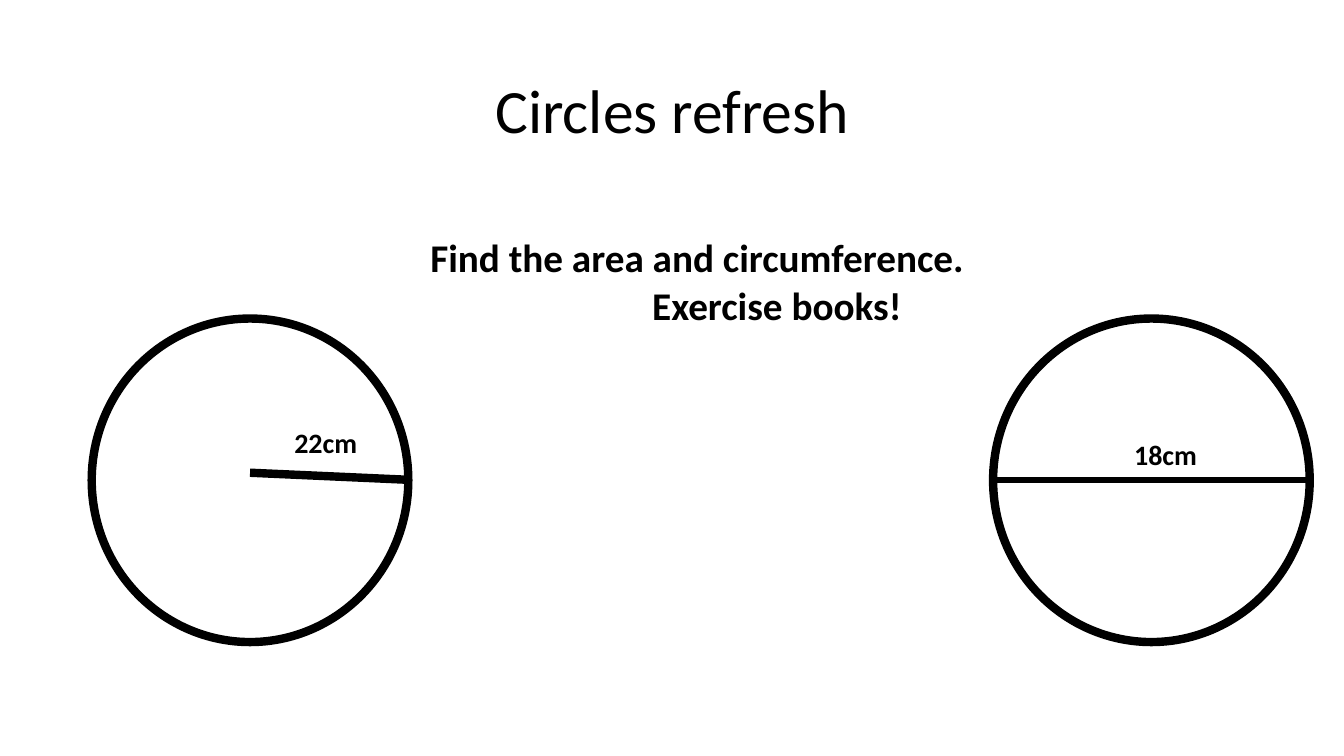
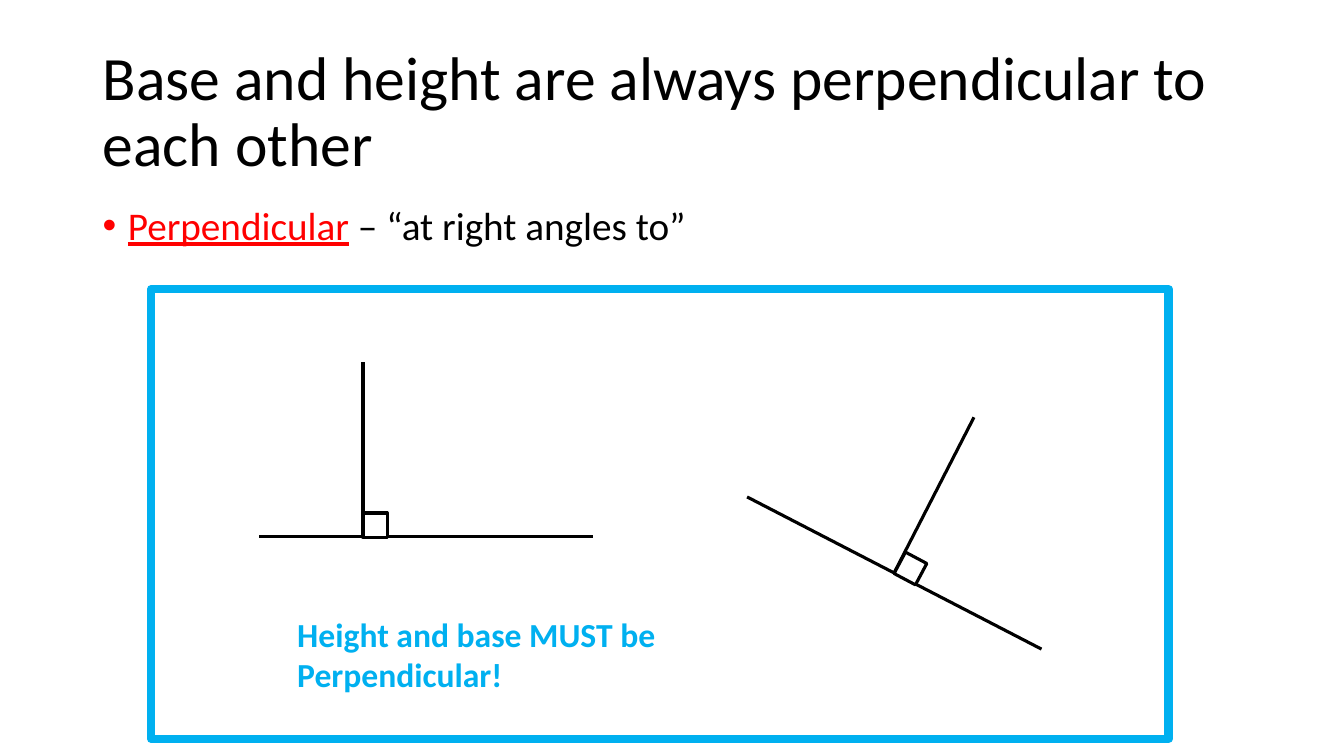
import pptx
import pptx.util
import pptx.dml.color
import pptx.enum.shapes
import pptx.enum.text
import pptx.oxml.ns
from lxml import etree

PX = 9144
FONT = "Calibri"
COLORS = {"ink": "000000", "paper": "FFFFFF", "term": "FF0000", "accent": "00B0F0"}
ALIGN = pptx.enum.text.PP_ALIGN
ANCHOR = pptx.enum.text.MSO_ANCHOR
SHAPE = pptx.enum.shapes.MSO_SHAPE
TITLE_BOX = (92, 40, 1150, 145)

REFRESH_TITLE = "Circles refresh"
TASK_BOX = (417, 227, 707, 104)
TASK = [("Find the area and circumference.", ALIGN.LEFT), ("Exercise books!", ALIGN.CENTER)]
CIRCLE_TOP, CIRCLE_SIZE = 316, (314, 321)
LABEL_SIZE = (109, 44)
CIRCLES = [
    {"left": 91, "measure": (248, 469, 405, 476), "weight": 6, "label": "22cm", "label_at": (282, 417)},
    {"left": 985, "measure": (985, 476, 1298, 476), "weight": 4.5, "label": "18cm", "label_at": (1115, 429)},
]

PERPENDICULAR_TITLE = "Base and height are always perpendicular to each other"
DEFINITION_BOX = (92, 200, 1150, 476)
DEFINITION = [("Perpendicular", "term", True), (" – “at right angles to”", "ink", False)]
CORNER = 24
RIGHT_ANGLES = [
    {"base": (257, 532, 588, 532), "height": (360, 532, 360, 359), "corner": (360, 509), "turn": 0},
    {"base": (741, 493, 1033, 644), "height": (887, 568, 966, 414), "corner": (891, 552), "turn": 28},
]
FRAME = (150, 287, 1009, 446)
RULE_BOX = (285, 604, 466, 91)
RULE = "Height and base MUST be Perpendicular!"


def px(values):
    return [pptx.util.Emu(v * PX) for v in values]


def rgb(name):
    return pptx.dml.color.RGBColor.from_string(COLORS[name])


def style_line(line, weight, color="ink"):
    line.color.rgb = rgb(color)
    line.width = pptx.util.Pt(weight)


def add_line(s, ends, weight):
    line = s.shapes.add_connector(pptx.enum.shapes.MSO_CONNECTOR.STRAIGHT, *px(ends))
    style_line(line.line, weight)
    etree.SubElement(line._element.spPr, pptx.oxml.ns.qn("a:effectLst"))


def add_outline(s, kind, box, weight, color="ink", fill=None, turn=0):
    sp = s.shapes.add_shape(kind, *px(box))
    sp.shadow.inherit = False
    sp.rotation = turn
    style_line(sp.line, weight, color)
    if fill:
        sp.fill.solid()
        sp.fill.fore_color.rgb = rgb(fill)
    else:
        sp.fill.background()


def style_run(r, size, color="ink", bold=False, underline=False):
    r.font.name = FONT
    r.font.size = pptx.util.Pt(size)
    r.font.color.rgb = rgb(color)
    r.font.bold = bold
    r.font.underline = underline


def add_text(s, box, lines, size, color="ink", bold=False):
    tf = s.shapes.add_textbox(*px(box)).text_frame
    tf.word_wrap = True
    tf.text = "\n".join(text for text, _ in lines)
    for p, (_, align) in zip(tf.paragraphs, lines):
        p.alignment = align
        style_run(p.runs[0], size, color, bold)
    return tf


def add_title(s, text, align):
    tf = add_text(s, TITLE_BOX, [(text, align)], 44)
    tf.vertical_anchor = ANCHOR.MIDDLE
    tf.paragraphs[0].line_spacing = 0.9


def add_definition(s):
    tf = s.shapes.add_textbox(*px(DEFINITION_BOX)).text_frame
    tf.word_wrap = True
    p = tf.paragraphs[0]
    pPr = p._p.get_or_add_pPr()
    pPr.set("marL", str(25 * PX))
    pPr.set("indent", str(-25 * PX))
    etree.SubElement(pPr, pptx.oxml.ns.qn("a:buFont"), typeface="Arial")
    etree.SubElement(pPr, pptx.oxml.ns.qn("a:buChar"), char="•")
    p.line_spacing = 0.9
    for text, color, underline in DEFINITION:
        r = p.add_run()
        r.text = text
        style_run(r, 28, color, underline=underline)


def build_circles(s):
    add_title(s, REFRESH_TITLE, ALIGN.CENTER)
    for circle in CIRCLES:
        add_outline(s, SHAPE.OVAL, (circle["left"], CIRCLE_TOP, *CIRCLE_SIZE), 6)
        add_line(s, circle["measure"], circle["weight"])
        add_text(s, (*circle["label_at"], *LABEL_SIZE), [(circle["label"], ALIGN.LEFT)], 20, bold=True)
    add_text(s, TASK_BOX, TASK, 28, bold=True)


def build_perpendicular(s):
    add_title(s, PERPENDICULAR_TITLE, ALIGN.LEFT)
    add_definition(s)
    for angle in RIGHT_ANGLES:
        add_line(s, angle["base"], 2.25)
        add_line(s, angle["height"], 2.25)
        add_outline(s, SHAPE.RECTANGLE, (*angle["corner"], CORNER, CORNER), 2.25,
                    fill="paper", turn=angle["turn"])
    add_outline(s, SHAPE.RECTANGLE, FRAME, 6, "accent")
    add_text(s, RULE_BOX, [(RULE, ALIGN.LEFT)], 24, "accent", True)


def main():
    prs = pptx.Presentation()
    prs.slide_width, prs.slide_height = px((1333, 750))
    for build in (build_circles, build_perpendicular):
        build(prs.slides.add_slide(prs.slide_layouts[6]))
    prs.save("out.pptx")


if __name__ == "__main__":
    main()
